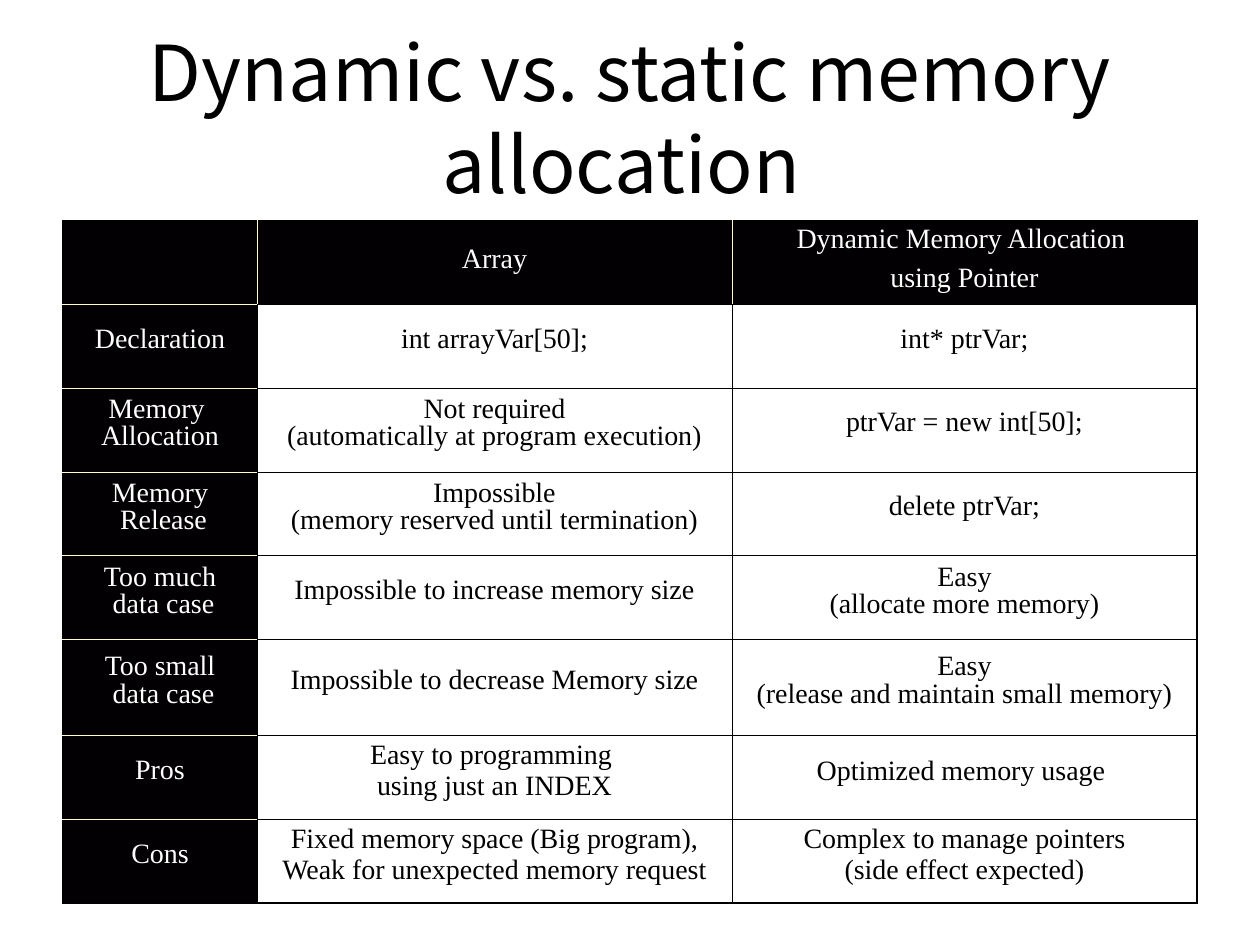
"""Build a slide comparing dynamic and static memory allocation."""
from lxml import etree
from pptx import Presentation
from pptx.dml.color import RGBColor
from pptx.enum.text import MSO_ANCHOR, PP_ALIGN
from pptx.oxml.ns import qn
from pptx.util import Inches, Pt

MIDDLE = MSO_ANCHOR.MIDDLE
CENTER = PP_ALIGN.CENTER

TITLE = "Dynamic vs. static memory allocation "
ROWS = [
    ([], ["Array"], ["Dynamic Memory Allocation ", "using Pointer"]),
    (["Declaration"], ["int arrayVar[50];"], ["int* ptrVar;"]),
    (["Memory ", "Allocation"],
     ["Not required", "(automatically at program execution)"],
     ["ptrVar = new int[50];"]),
    (["Memory", " Release"],
     ["Impossible", "(memory reserved until termination)"],
     ["delete ptrVar;"]),
    (["Too much", " data case"],
     ["Impossible to increase memory size"],
     ["Easy", "(allocate more memory)"]),
    (["Too small", " data case"],
     ["Impossible to decrease Memory size"],
     ["Easy", "(release and maintain small memory)"]),
    (["Pros"],
     ["Easy to programming ", "using just an INDEX"],
     ["Optimized memory usage "]),
    (["Cons"],
     ["Fixed memory space (Big program),", "Weak for unexpected memory request"],
     ["Complex to manage pointers", "(side effect expected)"]),
]
COLORS = {"ink": "000000", "paper": "FFFFFF", "head": "020002", "rule": "FFFFCC"}
FONTS = {"title": "Noto Sans CJK KR", "cell": "Times New Roman"}

WIDE, HIGH = 10, 7.5
LEFT, TOP = 0.05 * WIDE, 1.75
COLS = [1.54, 3.77, 3.69]
DEPTH, TALL, TALL_ROW = 5.42, 0.76, 5
SHORT = (DEPTH - TALL) / (len(ROWS) - 1)
THICK, THIN = 1.08, 0.45


def rgb(name):
    return RGBColor.from_string(COLORS[name])


def write(frame, lines, font, size, color, pitch=None):
    frame.word_wrap = True
    for i, line in enumerate(lines):
        para = frame.paragraphs[0] if i == 0 else frame.add_paragraph()
        para.alignment = CENTER
        if pitch:
            para.line_spacing = pitch
            para.space_before = Pt(12 if i else 0)
        run = para.add_run()
        run.text = line
        run.font.name = font
        run.font.size = Pt(size)
        run.font.color.rgb = rgb(color)


def edge(cell, side, color, width):
    line = etree.SubElement(cell._tc.get_or_add_tcPr(), qn(f"a:ln{side}"), w=str(Pt(width)))
    fill = etree.SubElement(line, qn("a:solidFill"))
    etree.SubElement(fill, qn("a:srgbClr"), val=COLORS[color])


def frame_cell(cell, r, c):
    outer = {"L": c == 0, "R": c == len(COLS) - 1, "T": r == 0, "B": r == len(ROWS) - 1}
    for side, rim in outer.items():
        pale = r == 0 if side in "LR" else c == 0
        edge(cell, side, "rule" if pale and not rim else "ink", THICK if rim else THIN)


def pitch_of(r, c):
    if r == 0:
        return 0.6
    return 0.3 if c and r >= len(ROWS) - 2 else 0.2


def main():
    deck = Presentation()
    deck.slide_width, deck.slide_height = Inches(WIDE), Inches(HIGH)
    slide = deck.slides.add_slide(deck.slide_layouts[6])

    title = slide.shapes.add_textbox(
        Inches(LEFT), Inches(0.3), Inches(sum(COLS)), Inches(1.25)).text_frame
    title.vertical_anchor = MIDDLE
    write(title, [TITLE], FONTS["title"], 44, "ink")

    table = slide.shapes.add_table(
        len(ROWS), len(COLS), Inches(LEFT), Inches(TOP),
        Inches(sum(COLS)), Inches(DEPTH)).table
    table.first_row = table.horz_banding = False
    for col, width in zip(table.columns, COLS):
        col.width = Inches(width)
    for r, row in enumerate(ROWS):
        table.rows[r].height = Inches(TALL if r == TALL_ROW else SHORT)
        for c, lines in enumerate(row):
            cell = table.cell(r, c)
            head = r == 0 or c == 0
            cell.vertical_anchor = MIDDLE
            frame_cell(cell, r, c)
            if head:
                cell.fill.solid()
                cell.fill.fore_color.rgb = rgb("head")
            else:
                cell.fill.background()
            write(cell.text_frame, lines, FONTS["cell"], 16,
                  "paper" if head else "ink", pitch_of(r, c))

    deck.save("out.pptx")


if __name__ == "__main__":
    main()
